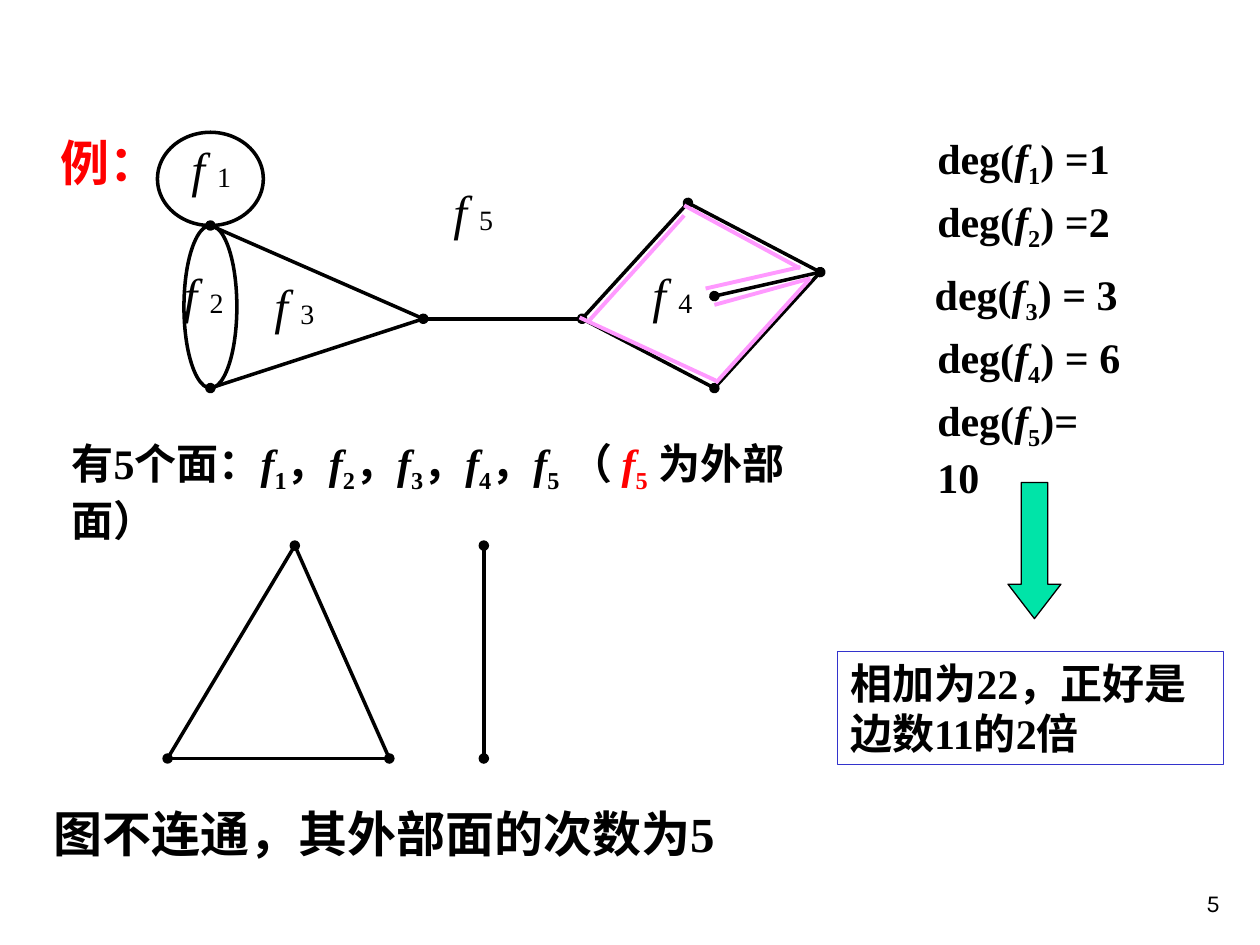
from lxml.etree import SubElement
from pptx import Presentation
from pptx.dml.color import RGBColor
from pptx.enum.shapes import MSO_CONNECTOR as Conn, MSO_SHAPE as Shape
from pptx.enum.text import MSO_ANCHOR as Anchor, PP_ALIGN as Align
from pptx.oxml.ns import qn
from pptx.util import Inches, Pt

INK = {"black": "000000", "red": "FF0000", "pink": "FF99FF",
       "green": "00E4A8", "blue": "3333CC"}
SERIF, HAN, SANS = "Times New Roman", "Noto Sans CJK SC", "Karla"


def face(n, ink="black"):
    return [("f", "i", ink), (str(n), "s", ink)]


# Content: a text run is (words, style, ink); i = italic, s = subscript
faces = [("有5个面：", "", "black")]
for n in range(1, 6):
    faces += face(n) + [("，" if n < 5 else " （ ", "", "black")]
faces += face(5, "red") + [(" 为外部面）", "", "black")]

degrees = [(7.34, 1, ") =1"), (7.34, 1.5, ") =2"), (7.32, 2.08, ") = 3"),
           (7.34, 2.58, ") = 6"), (7.34, 3.08, ")= 10")]
labels = [(1.42, 1.05), (1.36, 2.05), (2.08, 2.14), (5.08, 2.05), (3.5, 1.39)]
total = ["相加为22，正好是", "边数11的2倍"]

# Graphs: vertices, then edges as (from, to, dotted ends: h = from, t = to)
split = {"top": (2.34, 4.33), "left": (1.33, 6.02), "right": (3.09, 6.02),
         "up": (3.84, 4.33), "down": (3.84, 6.02)}
split_edges = [("top", "left", "ht"), ("left", "right", "t"),
               ("top", "right", ""), ("up", "down", "ht")]
joined = {"a": (1.67, 1.79), "b": (1.67, 3.08), "c": (3.36, 2.53),
          "d": (4.62, 2.53), "e": (5.46, 1.61), "f": (5.67, 3.08),
          "g": (6.51, 2.16), "h": (5.67, 2.35)}
joined_edges = [("a", "c", "ht"), ("b", "c", "h"), ("d", "e", "ht"),
                ("f", "g", "ht"), ("d", "f", ""), ("e", "g", ""),
                ("h", "g", "h"), ("c", "d", "")]
loops = [(1.25, 1.05, 0.84, 0.74), (1.46, 1.79, 0.42, 1.29)]
walk = [((4.6, 2.52), (5.68, 3.02)), ((5.68, 3.04), (6.43, 2.21)),
        ((6.43, 2.21), (5.67, 2.42)), ((5.6, 2.29), (6.35, 2.12)),
        ((6.35, 2.13), (5.43, 1.63)), ((5.43, 1.71), (4.68, 2.54))]

deck = Presentation()
deck.slide_width, deck.slide_height = Inches(10), Inches(7.5)
slide = deck.slides.add_slide(deck.slide_layouts[6])


def tint(name):
    return RGBColor.from_string(INK[name])


def style(run, size, ink="black", name=SERIF, bold=True, look=""):
    font = run.font
    font.size, font.name, font.bold = Pt(size), name, bold
    font.italic = "i" in look
    font.color.rgb = tint(ink)
    props = run._r.get_or_add_rPr()
    SubElement(props, qn("a:ea")).set("typeface", HAN)
    if "s" in look:
        props.set("baseline", "-25000")


def box(home, at, wrap=True):
    frame = home.add_textbox(*map(Inches, at)).text_frame
    frame.word_wrap = wrap
    return frame


def write(frame, runs, size):
    for words, look, ink in runs:
        run = frame.paragraphs[0].add_run()
        run.text = words
        style(run, size, ink, look=look)


def line(home, start, end, ink="black", width=2, dots=""):
    edge = home.add_connector(Conn.STRAIGHT, *map(Inches, start + end))
    edge.line.width = Pt(width)
    edge.line.color.rgb = tint(ink)
    for key, tag in (("h", "a:headEnd"), ("t", "a:tailEnd")):
        if key in dots:
            SubElement(edge.line._get_or_add_ln(), qn(tag)).set("type", "oval")
    SubElement(edge._element.spPr, qn("a:effectLst"))


def shape(home, kind, at, ink="black", width=0.75, fill=None):
    item = home.add_shape(kind, *map(Inches, at))
    item.shadow.inherit = False
    item.line.width = Pt(width)
    item.line.color.rgb = tint(ink)
    if fill:
        item.fill.solid()
        item.fill.fore_color.rgb = tint(fill)
    else:
        item.fill.background()
    return item


def graph(home, spots, edges):
    for start, end, dots in edges:
        line(home, spots[start], spots[end], dots=dots)


# Heading, list of faces and closing remark
head = box(slide.shapes, (0.38, 1, 0.79, 1.04))
head.text = "例："
style(head.paragraphs[0].runs[0], 28, "red", HAN)
write(box(slide.shapes, (0.47, 3.42, 6.45, 0.96)), faces, 24)
write(box(slide.shapes, (0.33, 6.33, 5.58, 0.57)),
      [("图不连通，其外部面的次数为5", "", "black")], 28)

# Disconnected graph
graph(slide.shapes.add_group_shape().shapes, split, split_edges)

# Connected graph with its face labels
group = slide.shapes.add_group_shape().shapes
for at in loops:
    shape(group, Shape.OVAL, at, width=2)
graph(group, joined, joined_edges)
for n, spot in enumerate(labels, 1):
    para = box(group, spot + (0.64, 0.57)).paragraphs[0]
    for words, size, look in (("f ", 28, "i"), (str(n), 16, "")):
        run = para.add_run()
        run.text = words
        style(run, size, bold=False, look=look)

# Degree of each face
for n, (left, top, tail) in enumerate(degrees, 1):
    runs = [("deg(", "", "black")] + face(n) + [(tail, "", "black")]
    write(box(slide.shapes, (left, top, 1.65, 0.56), wrap=False), runs, 24)

# Walk round face 4
for start, end in walk:
    line(slide.shapes, start, end, "pink", 2.25)

# Arrow down to the total
arrow = shape(slide.shapes, Shape.DOWN_ARROW, (8, 3.83, 0.42, 1.08), fill="green")
arrow.adjustments[0], arrow.adjustments[1] = 0.5, 0.65
frame = shape(slide.shapes, Shape.RECTANGLE, (6.65, 5.17, 3.06, 0.9), "blue").text_frame
frame.text = "\n".join(total)
frame.word_wrap, frame.vertical_anchor = False, Anchor.TOP
for para in frame.paragraphs:
    para.alignment = Align.LEFT
    style(para.runs[0], 24)

# Page number
page = box(slide.shapes, (7.7, 6.83, 2.08, 0.5))
page.text, page.vertical_anchor = "5", Anchor.BOTTOM
page.paragraphs[0].alignment = Align.RIGHT
style(page.paragraphs[0].runs[0], 14, name=SANS, bold=False)

deck.save("out.pptx")
